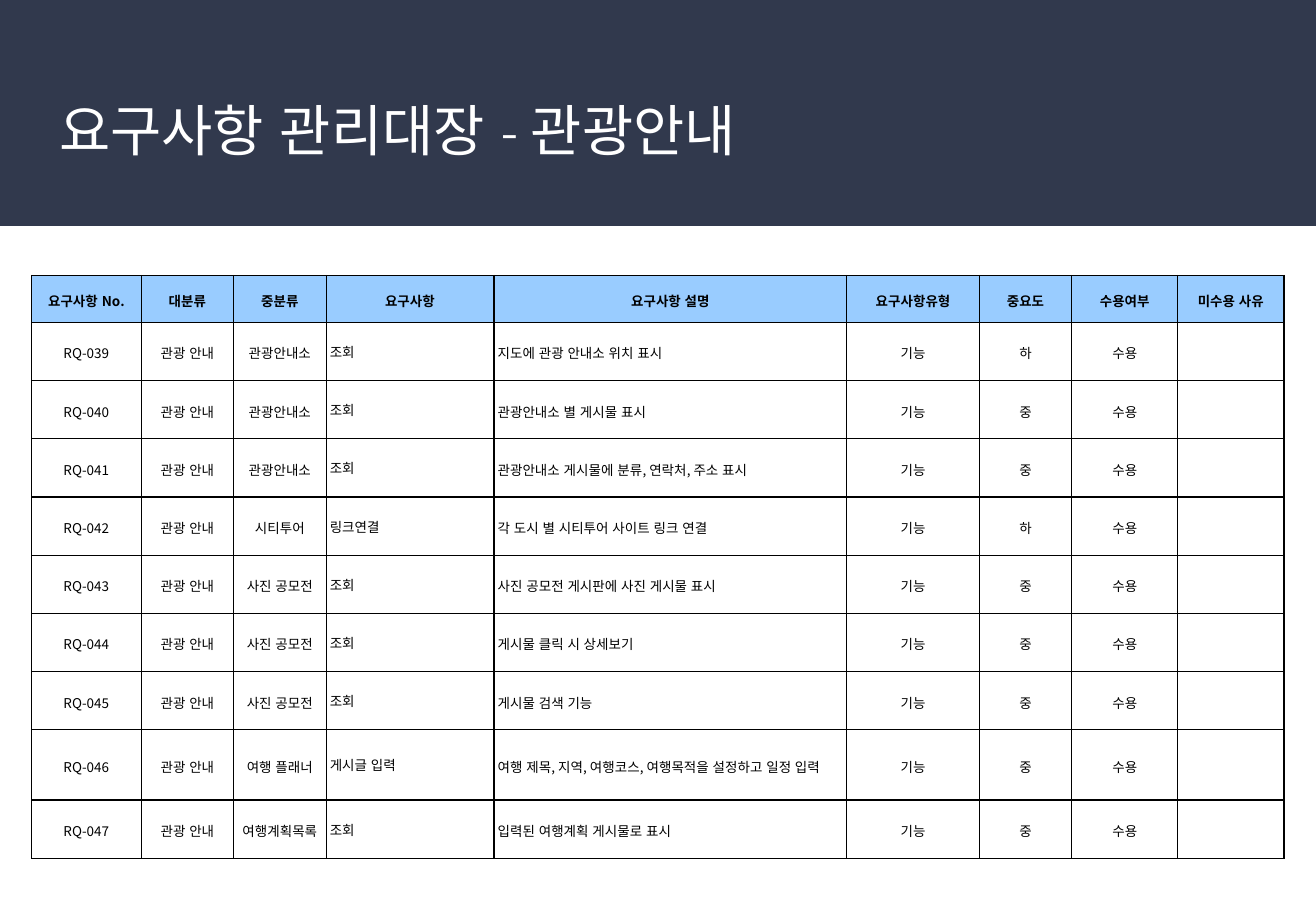
"""Builds the requirements register slide for tourist information."""
from lxml import etree
from pptx import Presentation
from pptx.dml.color import RGBColor
from pptx.enum import lang, shapes, text
from pptx.oxml import ns
from pptx.util import Pt

TITLE = "요구사항 관리대장 - 관광안내"
HEADERS = ["요구사항 No.", "대분류", "중분류", "요구사항", "요구사항 설명",
           "요구사항유형", "중요도", "수용여부", "미수용 사유"]
FIRST_NUMBER = 39
REQUIREMENTS = [
    ("관광안내소", "조회", "지도에 관광 안내소 위치 표시", "하"),
    ("관광안내소", "조회", "관광안내소 별 게시물 표시", "중"),
    ("관광안내소", "조회", "관광안내소 게시물에 분류, 연락처, 주소 표시", "중"),
    ("시티투어", "링크연결", "각 도시 별 시티투어 사이트 링크 연결", "하"),
    ("사진 공모전", "조회", "사진 공모전 게시판에 사진 게시물 표시", "중"),
    ("사진 공모전", "조회", "게시물 클릭 시 상세보기", "중"),
    ("사진 공모전", "조회", "게시물 검색 기능", "중"),
    ("여행 플래너", "게시글 입력", "여행 제목, 지역, 여행코스, 여행목적을 설정하고 일정 입력", "중"),
    ("여행계획목록", "조회", "입력된 여행계획 게시물로 표시", "중"),
]
SLIDE_WIDTH, SLIDE_HEIGHT = 780, 540
BAND_HEIGHT = 133.92
TABLE_LEFT, TABLE_TOP = 18.7, 163.2
COLUMN_WIDTHS = [65, 54.8, 54.8, 99.5, 209.2, 78.5, 54.8, 62.9, 62.9]
HEADER_HEIGHT, ROW_HEIGHT, TALL_HEIGHT = 27.3, 34.55, 41.5
TALL_ROW = 8
NAME_COLUMN, DESCRIPTION_COLUMN = 3, 4
CALIBRI_COLUMNS = (5, 6)
KOREAN_FONT = "Noto Sans CJK KR"


def color(value):
    return RGBColor.from_string(value)


def add_run(paragraph, words, size, font_name, hex_color, bold=False):
    run = paragraph.add_run()
    run.text = words
    font = run.font
    font.size, font.name, font.bold = Pt(size), font_name, bold
    font.color.rgb = color(hex_color)
    font.language_id = lang.MSO_LANGUAGE_ID.KOREAN
    east_asian = etree.Element(ns.qn("a:ea"), typeface=KOREAN_FONT)
    run._r.rPr.find(ns.qn("a:latin")).addnext(east_asian)


def add_borders(cell):
    properties = cell._tc.get_or_add_tcPr()
    for side in ("lnL", "lnR", "lnT", "lnB"):
        line = etree.SubElement(properties, ns.qn(f"a:{side}"), w=str(Pt(0.75)))
        fill = etree.SubElement(line, ns.qn("a:solidFill"))
        etree.SubElement(fill, ns.qn("a:srgbClr"), val="000000")


def fill_cell(cell, words, row, column):
    header = row == 0
    add_borders(cell)
    cell.fill.solid()
    cell.fill.fore_color.rgb = color("99CCFF" if header else "FFFFFF")
    if not words:
        return
    plain = column == NAME_COLUMN and not header
    left_aligned = column in (NAME_COLUMN, DESCRIPTION_COLUMN) and not header
    cell.vertical_anchor = text.MSO_ANCHOR.MIDDLE
    cell.margin_left = cell.margin_right = Pt(2.2)
    cell.margin_top = cell.margin_bottom = Pt(0 if plain else 7.2)
    paragraph = cell.text_frame.paragraphs[0]
    paragraph.alignment = text.PP_ALIGN.LEFT if left_aligned else text.PP_ALIGN.CENTER
    paragraph.line_spacing = 1.0 if plain else 1.15
    calibri = column in CALIBRI_COLUMNS and not header
    add_run(paragraph, words, 8, "Calibri" if calibri else KOREAN_FONT, "000000", header)


def add_title(slide):
    title = slide.shapes.title
    title.left, title.top, title.width, title.height = Pt(26.6), Pt(52.6), Pt(726.5), Pt(65.5)
    frame = title.text_frame
    frame.auto_size = text.MSO_AUTO_SIZE.NONE
    frame.word_wrap = True
    frame.vertical_anchor = text.MSO_ANCHOR.TOP
    frame.margin_left = frame.margin_right = frame.margin_top = frame.margin_bottom = Pt(8.6)
    paragraph = frame.paragraphs[0]
    paragraph.alignment = text.PP_ALIGN.LEFT
    paragraph.line_spacing = 0.9
    add_run(paragraph, TITLE, 33, "Cambria", "FFFFFF")
    band = slide.shapes.add_shape(shapes.MSO_SHAPE.RECTANGLE, 0, 0, Pt(SLIDE_WIDTH), Pt(BAND_HEIGHT))
    band.shadow.inherit = False
    band.fill.solid()
    band.fill.fore_color.rgb = color("31394D")
    band.line.fill.background()
    title._element.addprevious(band._element)


def add_register(slide):
    rows = [HEADERS] + [
        (f"RQ-{number:03}", "관광 안내", group, name, description, "기능", priority, "수용", "")
        for number, (group, name, description, priority) in enumerate(REQUIREMENTS, FIRST_NUMBER)
    ]
    heights = [HEADER_HEIGHT] + [ROW_HEIGHT] * len(REQUIREMENTS)
    heights[TALL_ROW] = TALL_HEIGHT
    table = slide.shapes.add_table(
        len(rows), len(HEADERS), Pt(TABLE_LEFT), Pt(TABLE_TOP),
        Pt(sum(COLUMN_WIDTHS)), Pt(sum(heights))).table
    for column, width in zip(table.columns, COLUMN_WIDTHS):
        column.width = Pt(width)
    for row, (height, values) in enumerate(zip(heights, rows)):
        table.rows[row].height = Pt(height)
        for column, words in enumerate(values):
            fill_cell(table.cell(row, column), words, row, column)


def main():
    presentation = Presentation()
    presentation.slide_width, presentation.slide_height = Pt(SLIDE_WIDTH), Pt(SLIDE_HEIGHT)
    slide = presentation.slides.add_slide(presentation.slide_layouts[5])
    add_title(slide)
    add_register(slide)
    presentation.save("out.pptx")


if __name__ == "__main__":
    main()
